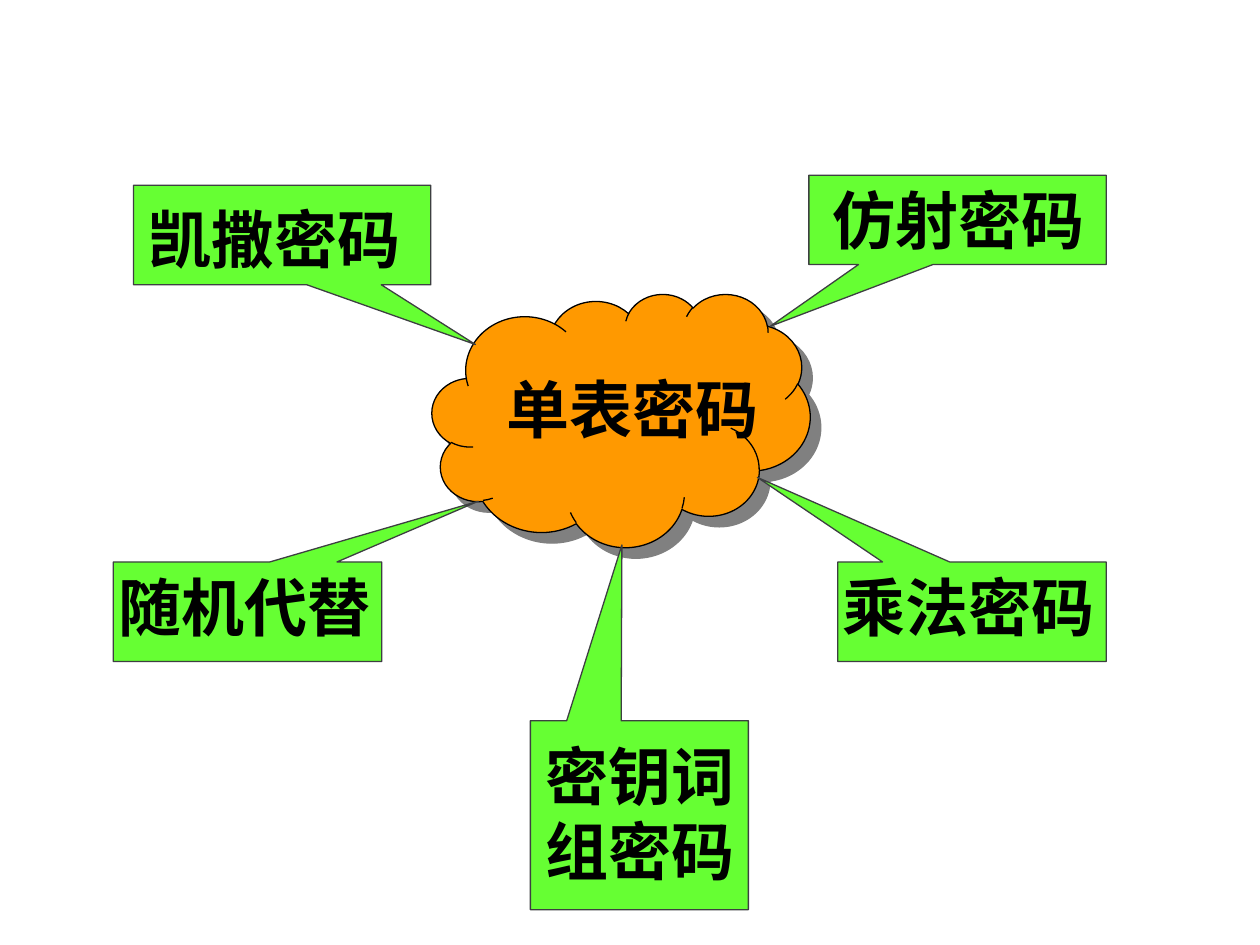
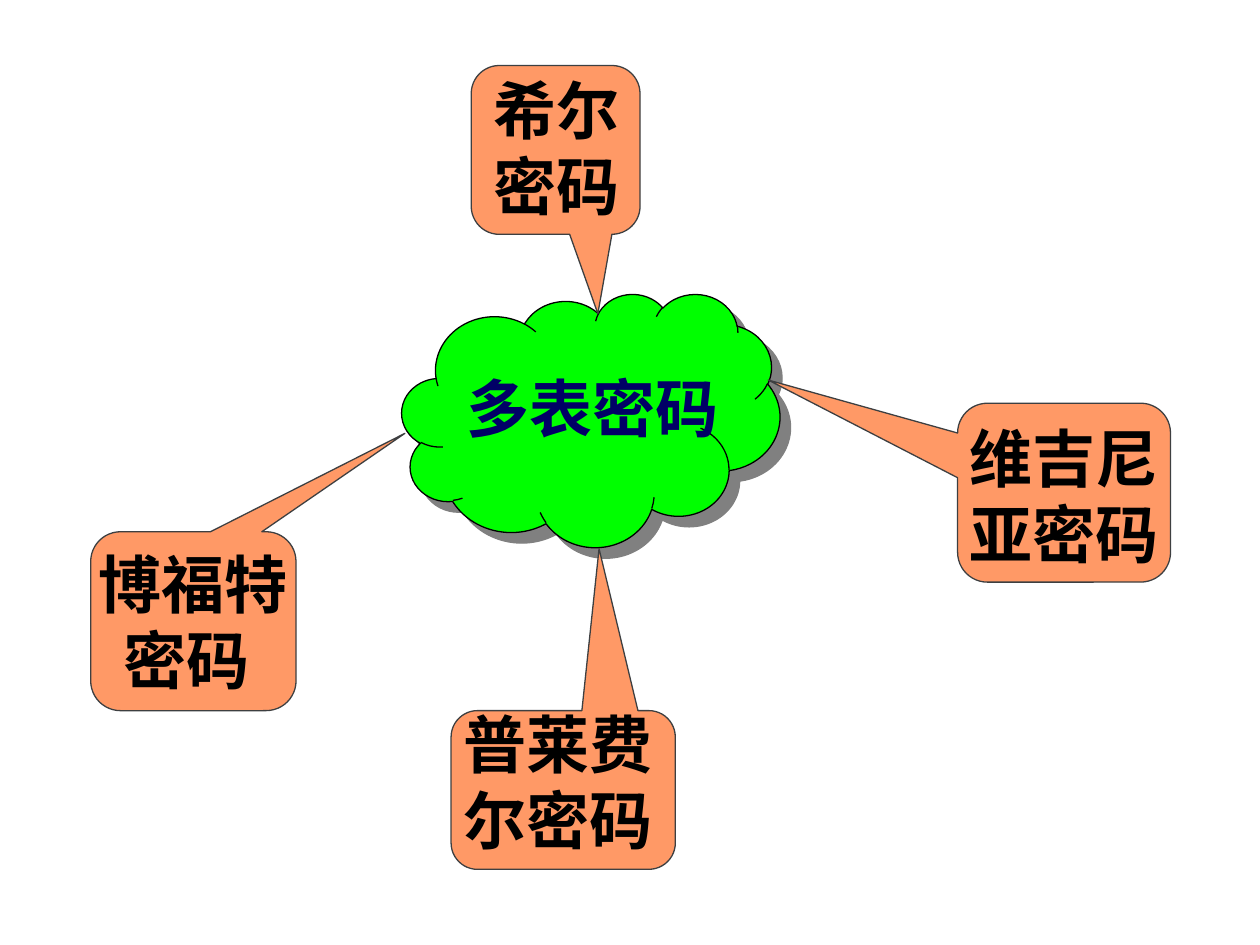
import pptx
import pptx.util
import pptx.oxml
import pptx.oxml.ns
import pptx.dml.color
import pptx.enum.shapes
import pptx.enum.text

Inches = pptx.util.Inches
Pt = pptx.util.Pt
RGBColor = pptx.dml.color.RGBColor
MSO_SHAPE = pptx.enum.shapes.MSO_SHAPE
MSO_AUTO_SIZE = pptx.enum.text.MSO_AUTO_SIZE
PP_ALIGN = pptx.enum.text.PP_ALIGN

BLACK = RGBColor(0x00, 0x00, 0x00)
NAVY = RGBColor(0x00, 0x00, 0x66)
OUTLINE = RGBColor(0x3D, 0x3F, 0x41)
ORANGE = RGBColor(0xFF, 0x99, 0x00)
LIME = RGBColor(0x66, 0xFF, 0x33)
GREEN = RGBColor(0x00, 0xFF, 0x00)
SALMON = RGBColor(0xFF, 0x99, 0x66)
SHADOW = (
    '<a:outerShdw %s dist="%d" dir="2700000" algn="ctr" rotWithShape="0">'
    '<a:srgbClr val="808080"/></a:outerShdw>'
    % (pptx.oxml.ns.nsdecls("a"), Pt(8.5))
)


def add_figure(shapes, kind, box, fill, line):
    sp = shapes.add_shape(kind, *[Inches(v) for v in box])
    sp.shadow.inherit = False
    sp.fill.solid()
    sp.fill.fore_color.rgb = fill
    sp.line.color.rgb = line
    sp.line.width = Pt(0.75)
    return sp


def add_label(shapes, lines, box, color, wrap=False, align=PP_ALIGN.LEFT):
    tf = shapes.add_textbox(*[Inches(v) for v in box]).text_frame
    tf.word_wrap = wrap
    tf.auto_size = MSO_AUTO_SIZE.SHAPE_TO_FIT_TEXT
    tf.vertical_anchor = pptx.enum.text.MSO_ANCHOR.MIDDLE
    for i, line in enumerate(lines):
        p = tf.paragraphs[0] if i == 0 else tf.add_paragraph()
        p.alignment = align
        r = p.add_run()
        r.text = line
        r.font.name = "Arial"
        r.font.size = Pt(36)
        r.font.bold = True
        r.font.color.rgb = color


single_callouts = [
    (["凯撒密码"], (1.06, 1.47, 2.36, 0.79), (0.65, 1.1), (1.08, 1.54, 2.31, 0.7)),
    (["密钥词", "组密码"], (4.21, 5.72, 1.73, 1.5), (-0.08, -1.43), (4.23, 5.8, 1.81, 1.3)),
    (["乘法密码"], (6.65, 4.46, 2.13, 0.79), (-0.8, -1.35), (6.59, 4.46, 2.31, 0.7)),
    (["仿射密码"], (6.42, 1.39, 2.36, 0.71), (-0.63, 1.19), (6.51, 1.39, 2.31, 0.7)),
    (["随机代替"], (0.9, 4.46, 2.13, 0.79), (0.86, -1.11), (0.84, 4.46, 2.31, 0.7)),
]
multi_callouts = [
    (["普莱费尔密码"], (3.58, 5.64, 1.78, 1.26), (0.16, -1.52), (3.58, 5.55, 1.81, 1.3), True),
    (["维吉尼", "亚密码"], (7.6, 3.2, 1.69, 1.42), (-1.39, -0.63), (7.6, 3.28, 1.7, 1.3)),
    (["希尔", "密码"], (3.74, 0.52, 1.34, 1.34), (0.25, 0.97), (3.82, 0.52, 1.2, 1.3)),
    (["博福特密码 "], (0.72, 4.22, 1.63, 1.42), (1.03, -1.05), (0.67, 4.28, 1.73, 1.3),
     True, PP_ALIGN.CENTER),
]
maps = [
    ("单表密码", 3.43, (3.92, 2.89, 2.31, 0.7), ORANGE, BLACK,
     MSO_SHAPE.RECTANGULAR_CALLOUT, LIME, single_callouts),
    ("多表密码", 3.19, (3.6, 2.88, 2.31, 0.7), GREEN, NAVY,
     MSO_SHAPE.ROUNDED_RECTANGULAR_CALLOUT, SALMON, multi_callouts),
]

prs = pptx.Presentation()
prs.slide_width = Inches(10)
prs.slide_height = Inches(7.5)

for topic, cloud_left, topic_box, cloud_fill, topic_color, kind, fill, callouts in maps:
    s = prs.slides.add_slide(prs.slide_layouts[6])
    shapes = s.shapes.add_group_shape().shapes
    cloud = add_figure(shapes, MSO_SHAPE.CLOUD, (cloud_left, 2.33, 3, 2.01), cloud_fill, BLACK)
    effects = cloud._element.spPr.find(pptx.oxml.ns.qn("a:effectLst"))
    effects.append(pptx.oxml.parse_xml(SHADOW))
    add_label(shapes, [topic], topic_box, topic_color)

    for lines, box, tip, label_box, *layout in callouts:
        shapes = s.shapes.add_group_shape().shapes
        sp = add_figure(shapes, kind, box, fill, OUTLINE)
        sp.adjustments[0], sp.adjustments[1] = tip
        add_label(shapes, lines, label_box, BLACK, *layout)

prs.save("out.pptx")
